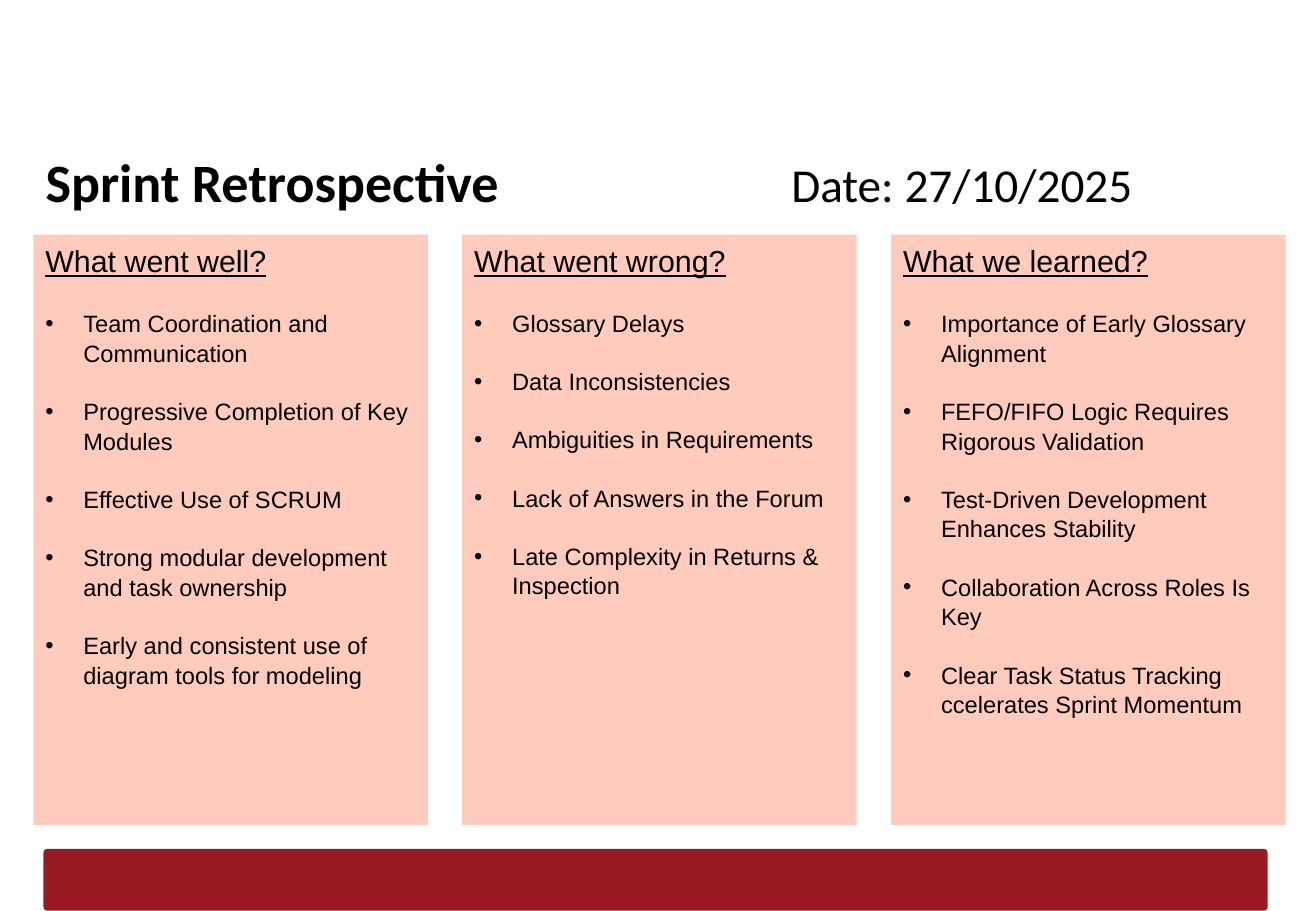
from lxml import etree
from pptx import Presentation
from pptx.dml.color import RGBColor
from pptx.enum.shapes import MSO_SHAPE
from pptx.enum.text import MSO_ANCHOR, MSO_AUTO_SIZE, PP_ALIGN
from pptx.oxml.ns import qn
from pptx.util import Pt

RECTANGLE = MSO_SHAPE.RECTANGLE
ROUNDED = MSO_SHAPE.ROUNDED_RECTANGLE
TOP = MSO_ANCHOR.TOP
LEFT = PP_ALIGN.LEFT
NO_FIT = MSO_AUTO_SIZE.NONE

COLOURS = {"text": "000000", "panel": "FFCBBD", "bar": "9A1A24"}
TITLE_ONLY = 5
COLUMN_GAP = 20.4
LINE_SPACING = 1.05
BULLET_INDENT = 22.5
ITEM_GAP = 16.9

COLUMNS = [
    ("What went well?", [
        "Team Coordination and Communication",
        "Progressive Completion of Key Modules",
        "Effective Use of SCRUM",
        "Strong modular development and task ownership",
        "Early and consistent use of diagram tools for modeling",
    ]),
    ("What went wrong?", [
        "Glossary Delays",
        "Data Inconsistencies",
        "Ambiguities in Requirements",
        "Lack of Answers in the Forum",
        "Late Complexity in Returns & Inspection",
    ]),
    ("What we learned?", [
        "Importance of Early Glossary Alignment",
        "FEFO/FIFO Logic Requires Rigorous Validation",
        "Test-Driven Development Enhances Stability",
        "Collaboration Across Roles Is Key",
        "Clear Task Status Tracking ccelerates Sprint Momentum",
    ]),
]


def add_span(para, text, font, size, bold=False, underline=False):
    """Add one formatted run to a paragraph."""
    span = para.add_run()
    span.text = text
    span.font.name = font
    span.font.size = Pt(size)
    span.font.bold = bold
    span.font.underline = underline
    span.font.color.rgb = RGBColor.from_string(COLOURS["text"])


def add_panel(page, kind, box, colour):
    """Add a flat filled shape without outline or shadow."""
    panel = page.shapes.add_shape(kind, *(Pt(length) for length in box))
    panel.shadow.inherit = False
    panel.fill.solid()
    panel.fill.fore_color.rgb = RGBColor.from_string(COLOURS[colour])
    panel.line.fill.background()
    return panel


def add_bullet(para):
    """Give a paragraph a hanging bullet."""
    properties = para._p.get_or_add_pPr()
    properties.set("marL", str(Pt(BULLET_INDENT)))
    properties.set("indent", str(-Pt(BULLET_INDENT)))
    etree.SubElement(properties, qn("a:buFont"), typeface="Arial")
    etree.SubElement(properties, qn("a:buChar"), char="•")


def add_heading(page, box, title, date, date_offset):
    """Place the slide title with the date at a tab stop."""
    heading = page.shapes.title
    heading.left, heading.top, heading.width, heading.height = map(Pt, box)
    frame = heading.text_frame
    frame.auto_size = NO_FIT
    frame.vertical_anchor = TOP
    frame.margin_left = frame.margin_right = Pt(7.2)
    frame.margin_top = Pt(9.5)
    para = frame.paragraphs[0]
    para.alignment = LEFT
    tabs = etree.SubElement(para._p.get_or_add_pPr(), qn("a:tabLst"))
    etree.SubElement(tabs, qn("a:tab"), pos=str(Pt(date_offset)), algn="l")
    add_span(para, title + "\t", "Calibri", 32, bold=True)
    add_span(para, date, "Calibri", 28)


def add_column(page, box, question, answers):
    """Fill one panel with a question and its bulleted answers."""
    frame = add_panel(page, RECTANGLE, box, "panel").text_frame
    frame.word_wrap = True
    frame.vertical_anchor = TOP
    para = frame.paragraphs[0]
    para.alignment = LEFT
    para.line_spacing = LINE_SPACING
    add_span(para, question, "Arial", 18, underline=True)
    for answer in answers:
        para = frame.add_paragraph()
        add_bullet(para)
        para.alignment = LEFT
        para.line_spacing = LINE_SPACING
        para.space_before = Pt(ITEM_GAP)
        add_span(para, answer, "Arial", 14)


def add_columns(page, box):
    """Share the box equally between the retrospective columns."""
    left, top, width, height = box
    pitch = (width + COLUMN_GAP) / len(COLUMNS)
    for index, (question, answers) in enumerate(COLUMNS):
        column_box = (left + index * pitch, top, pitch - COLUMN_GAP, height)
        add_column(page, column_box, question, answers)


def add_footer_bar(page, box):
    """Place the rounded bar at the foot of the slide."""
    bar = add_panel(page, ROUNDED, box, "bar")
    bar.adjustments[0] = 0.06


def main():
    """Build and save the retrospective slide."""
    deck = Presentation()
    deck.slide_width, deck.slide_height = Pt(780), Pt(540)
    page = deck.slides.add_slide(deck.slide_layouts[TITLE_ONLY])
    add_footer_bar(page, (25.8, 503.2, 725.6, 36.6))
    add_heading(page, (19.8, 78.5, 742, 45.4),
                "Sprint Retrospective", "Date: 27/10/2025", 442)
    add_columns(page, (19.8, 139, 742.2, 350))
    deck.save("out.pptx")


if __name__ == "__main__":
    main()
